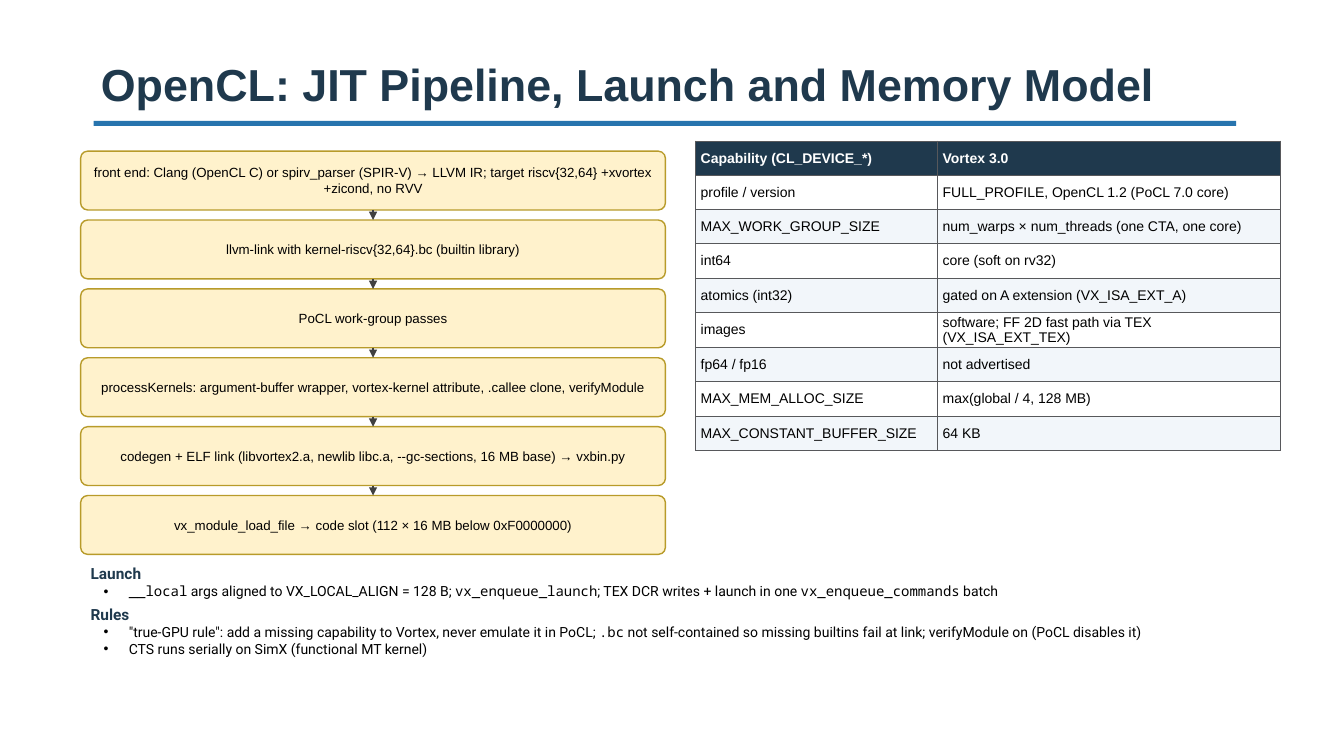
from lxml.etree import SubElement
from pptx import Presentation
from pptx.dml.color import RGBColor
from pptx.enum.shapes import MSO_CONNECTOR as CONNECTOR, MSO_SHAPE as SHAPE
from pptx.enum.text import MSO_ANCHOR as ANCHOR, PP_ALIGN as ALIGN
from pptx.oxml.ns import qn
from pptx.util import Inches, Pt

COLORS = {"navy": "1F394D", "blue": "2774AE", "cream": "FFF2CC", "gold": "B89B2A",
          "arrow": "404040", "border": "57585B", "band": "F2F6FA",
          "white": "FFFFFF", "black": "000000"}
SANS, BODY, MONO = "Arial", "Roboto", "Noto Sans Mono"


def rgb(name):
    return RGBColor.from_string(COLORS[name])


def add_run(paragraph, text, font, size, color="black", bold=False):
    run = paragraph.add_run()
    run.text = text
    run.font.name, run.font.size, run.font.bold = font, Pt(size), bold
    run.font.color.rgb = rgb(color)


deck = Presentation()
deck.slide_width, deck.slide_height = Inches(13.33), Inches(7.5)
slide = deck.slides.add_slide(deck.slide_layouts[5])
shapes = slide.shapes

# Title and the rule under it
title = shapes.title
title.left, title.top, title.width, title.height = map(Inches, (0.9, 0.25, 11.1, 0.9))
title.text_frame.vertical_anchor = ANCHOR.BOTTOM
heading = title.text_frame.paragraphs[0]
heading.alignment = ALIGN.LEFT
add_run(heading, "OpenCL: JIT Pipeline, Launch and Memory Model", SANS, 32, "navy", True)

rule = shapes.add_shape(SHAPE.RECTANGLE, *map(Inches, (0.93, 1.2, 11.33, 0.05)))
rule.shadow.inherit = False
rule.fill.solid()
rule.fill.fore_color.rgb = rgb("blue")
rule.line.fill.background()

# JIT pipeline: equal steps share the column height, with an arrow in each gap
stages = [
    "front end: Clang (OpenCL C) or spirv_parser (SPIR-V) → LLVM IR; "
    "target riscv{32,64} +xvortex +zicond, no RVV",
    "llvm-link with kernel-riscv{32,64}.bc (builtin library)",
    "PoCL work-group passes",
    "processKernels: argument-buffer wrapper, vortex-kernel attribute, .callee clone, verifyModule",
    "codegen + ELF link (libvortex2.a, newlib libc.a, --gc-sections, 16 MB base) → vxbin.py",
    "vx_module_load_file → code slot (112 × 16 MB below 0xF0000000)",
]
left, top, width, column_height, gap = 0.8, 1.5, 5.8, 4.0, 0.1
stage_height = (column_height - gap * (len(stages) - 1)) / len(stages)
center = Inches(left + width / 2)
for i, text in enumerate(stages):
    y = top + i * (stage_height + gap)
    stage = shapes.add_shape(SHAPE.ROUNDED_RECTANGLE, Inches(left), Inches(y),
                             Inches(width), Inches(stage_height))
    stage.adjustments[0] = 0.12
    stage.shadow.inherit = False
    stage.fill.solid()
    stage.fill.fore_color.rgb = rgb("cream")
    stage.line.color.rgb = rgb("gold")
    stage.line.width = Pt(1)
    frame = stage.text_frame
    frame.word_wrap = True
    frame.vertical_anchor = ANCHOR.MIDDLE
    frame.margin_left = frame.margin_right = Inches(0.04)
    frame.margin_top = frame.margin_bottom = Inches(0.02)
    frame.paragraphs[0].alignment = ALIGN.CENTER
    add_run(frame.paragraphs[0], text, SANS, 9.5)
    if i:
        arrow = shapes.add_connector(CONNECTOR.STRAIGHT, center, Inches(y - gap),
                                     center, Inches(y))
        arrow.line.color.rgb = rgb("arrow")
        arrow.line.width = Pt(1.25)
        SubElement(arrow.line._get_or_add_ln(), qn("a:tailEnd"), type="triangle")
        SubElement(arrow._element.spPr, qn("a:effectLst"))

# Device capability table
capabilities = [
    ("Capability (CL_DEVICE_*)", "Vortex 3.0"),
    ("profile / version", "FULL_PROFILE, OpenCL 1.2 (PoCL 7.0 core)"),
    ("MAX_WORK_GROUP_SIZE", "num_warps × num_threads (one CTA, one core)"),
    ("int64", "core (soft on rv32)"),
    ("atomics (int32)", "gated on A extension (VX_ISA_EXT_A)"),
    ("images", "software; FF 2D fast path via TEX (VX_ISA_EXT_TEX)"),
    ("fp64 / fp16", "not advertised"),
    ("MAX_MEM_ALLOC_SIZE", "max(global / 4, 128 MB)"),
    ("MAX_CONSTANT_BUFFER_SIZE", "64 KB"),
]
table = shapes.add_table(len(capabilities), 2, Inches(6.9), Inches(1.4),
                         Inches(5.8), Inches(0.34 * len(capabilities))).table
table.horz_banding = False
table.columns[0].width, table.columns[1].width = Inches(2.4), Inches(3.4)
for r, row in enumerate(capabilities):
    fill = "navy" if r == 0 else "white" if r % 2 else "band"
    for c, text in enumerate(row):
        cell = table.cell(r, c)
        cell.vertical_anchor = ANCHOR.MIDDLE
        cell.margin_left = cell.margin_right = Inches(0.05)
        cell.margin_top = cell.margin_bottom = Inches(0.02)
        add_run(cell.text_frame.paragraphs[0], text, SANS, 10,
                "black" if r else "white", r == 0)
        properties = cell._tc.get_or_add_tcPr()
        for side in ("lnL", "lnR", "lnT", "lnB"):
            edge = SubElement(properties, qn(f"a:{side}"), w=str(Pt(1)))
            SubElement(SubElement(edge, qn("a:solidFill")), qn("a:srgbClr"),
                       val=COLORS["border"])
        cell.fill.solid()
        cell.fill.fore_color.rgb = rgb(fill)

# Launch and rules notes: each section has a heading and bullets of (text, font) runs
sections = [
    ("Launch", [
        [("__local", MONO), (" args aligned to VX_LOCAL_ALIGN = 128 B; ", BODY),
         ("vx_enqueue_launch", MONO), ("; TEX DCR writes + launch in one ", BODY),
         ("vx_enqueue_commands", MONO), (" batch", BODY)],
    ]),
    ("Rules", [
        [('"true-GPU rule": add a missing capability to Vortex, never emulate it in PoCL; ', BODY),
         (".bc", MONO),
         (" not self-contained so missing builtins fail at link; "
          "verifyModule on (PoCL disables it)", BODY)],
        [("CTS runs serially on SimX (functional MT kernel)", BODY)],
    ]),
]
notes = shapes.add_textbox(*map(Inches, (0.8, 5.55, 11.9, 1.2))).text_frame
notes.word_wrap = True
for i, (name, bullets) in enumerate(sections):
    section = notes.add_paragraph() if i else notes.paragraphs[0]
    if i:
        section.space_before = Pt(4)
    add_run(section, name, BODY, 11, "navy", True)
    for runs in bullets:
        bullet = notes.add_paragraph()
        bullet.level = 1
        layout = bullet._p.get_or_add_pPr()
        layout.set("marL", str(Inches(0.38)))
        layout.set("indent", str(Inches(-0.25)))
        SubElement(layout, qn("a:buFont"), typeface=SANS)
        SubElement(layout, qn("a:buChar"), char="•")
        for text, font in runs:
            add_run(bullet, text, font, 10)

deck.save("out.pptx")
